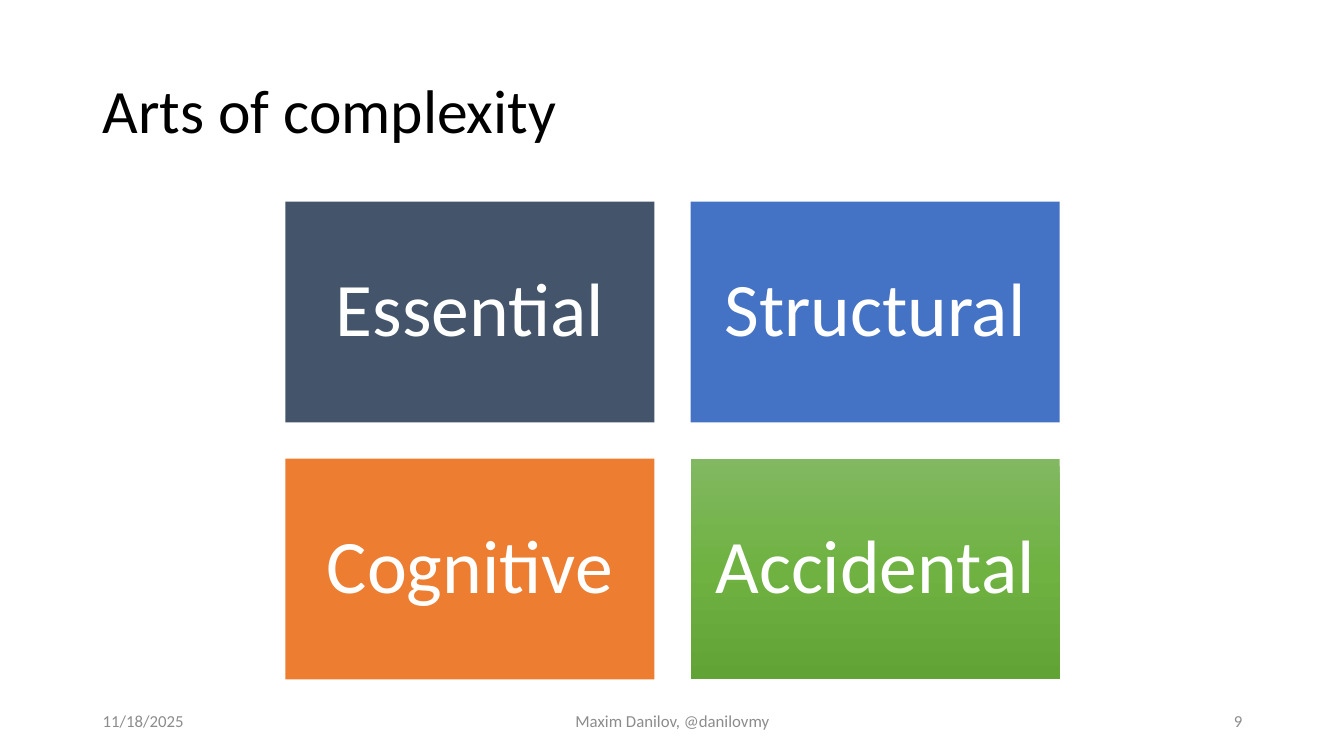
import copy
from dataclasses import dataclass

import pptx
import pptx.dml.color
import pptx.enum.shapes
import pptx.enum.text
import pptx.oxml.ns
import pptx.util

ALIGN = pptx.enum.text.PP_ALIGN
EMU_PER_PX = 9144


@dataclass(frozen=True)
class Theme:
    font: str = "Calibri"
    title_size: int = 44
    card_size: int = 54
    footer_size: int = 12
    ink: str = "000000"
    paper: str = "FFFFFF"
    muted: str = "8C8C8C"
    slate: str = "44546A"
    blue: str = "4472C4"
    orange: str = "ED7D31"
    greens: tuple = ("81B861", "6FB242", "62A336")


THEME = Theme()


def px(length):
    return pptx.util.Emu(length * EMU_PER_PX)


def rgb(value):
    return pptx.dml.color.RGBColor.from_string(value)


def write(shape, text, size, color, align, line_spacing=1.0):
    frame = shape.text_frame
    frame.word_wrap = True
    frame.vertical_anchor = pptx.enum.text.MSO_ANCHOR.MIDDLE
    frame.text = text
    para = frame.paragraphs[0]
    para.alignment = align
    para.line_spacing = line_spacing
    for span in para.runs:
        span.font.name = THEME.font
        span.font.size = pptx.util.Pt(size)
        span.font.color.rgb = rgb(color)


def fill_vertical_gradient(shape, colors):
    shape.fill.gradient()
    shape.fill.gradient_angle = 270
    stop_list = shape.element.find(".//" + pptx.oxml.ns.qn("a:gsLst"))
    while len(stop_list) < len(colors):
        stop_list.append(copy.deepcopy(stop_list[0]))
    for index, (stop, color) in enumerate(zip(shape.fill.gradient_stops, colors)):
        stop.position = index / (len(colors) - 1)
        stop.color.rgb = rgb(color)


def add_title(page, box, text):
    title = page.shapes.add_textbox(*map(px, box))
    write(title, text, THEME.title_size, THEME.ink, ALIGN.LEFT, 0.9)


def add_card(page, box, text, fill):
    card = page.shapes.add_shape(
        pptx.enum.shapes.MSO_SHAPE.RECTANGLE, *map(px, box))
    card.shadow.inherit = False
    card.line.fill.background()
    if isinstance(fill, tuple):
        fill_vertical_gradient(card, fill)
    else:
        card.fill.solid()
        card.fill.fore_color.rgb = rgb(fill)
    frame = card.text_frame
    frame.margin_left = frame.margin_right = px(23)
    frame.margin_top = frame.margin_bottom = px(23)
    write(card, text, THEME.card_size, THEME.paper, ALIGN.CENTER, 0.9)


def add_card_grid(page, box, cards, columns=2, gap=36):
    left, top, width, height = box
    rows = len(cards) // columns
    card_width = (width - gap * (columns - 1)) // columns
    card_height = (height - gap * (rows - 1)) // rows
    for index, (text, fill) in enumerate(cards):
        row, column = divmod(index, columns)
        card_box = (left + column * (card_width + gap),
                    top + row * (card_height + gap), card_width, card_height)
        add_card(page, card_box, text, fill)


def add_footer(page, box, date, author, number):
    left, top, width, height = box
    side, middle = 300, 450
    parts = (
        (date, left, side, ALIGN.LEFT),
        (author, left + (width - middle) // 2, middle, ALIGN.CENTER),
        (number, left + width - side, side, ALIGN.RIGHT),
    )
    for text, part_left, part_width, align in parts:
        part = page.shapes.add_textbox(*map(px, (part_left, top, part_width, height)))
        write(part, text, THEME.footer_size, THEME.muted, align)


def main():
    deck = pptx.Presentation()
    deck.slide_width, deck.slide_height = px(1333), px(750)
    page = deck.slides.add_slide(deck.slide_layouts[6])
    add_title(page, (92, 40, 1150, 145), "Arts of complexity")
    add_card_grid(page, (283, 200, 768, 474), (
        ("Essential", THEME.slate),
        ("Structural", THEME.blue),
        ("Cognitive", THEME.orange),
        ("Accidental", THEME.greens),
    ))
    add_footer(page, (92, 695, 1150, 40),
               "11/18/2025", "Maxim Danilov, @danilovmy", "9")
    deck.save("out.pptx")


if __name__ == "__main__":
    main()
